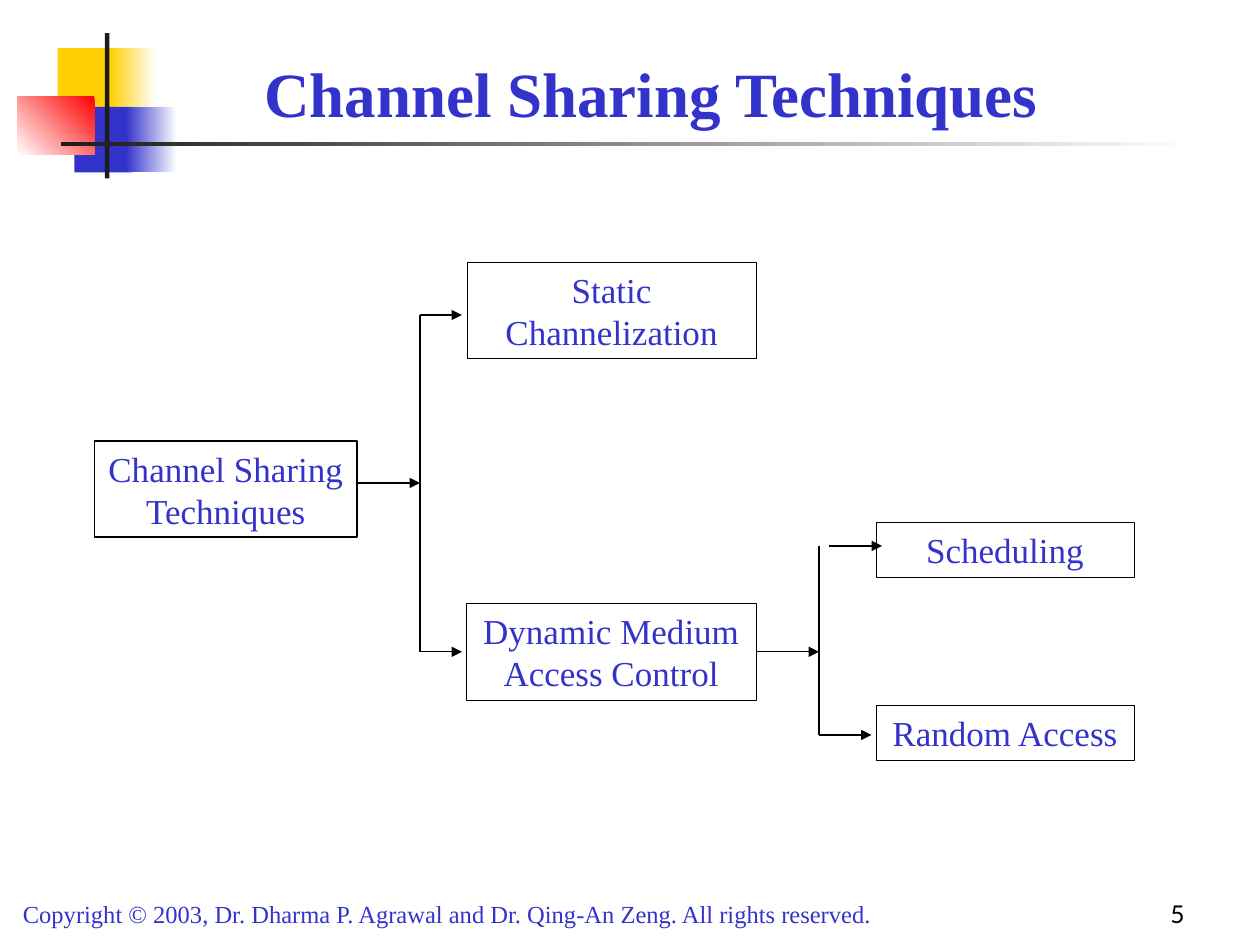
import dataclasses

import pptx
import pptx.dml.color
import pptx.enum.shapes
import pptx.enum.text
import pptx.oxml
import pptx.oxml.ns
import pptx.util

Pt = pptx.util.Pt
ANCHOR = pptx.enum.text.MSO_ANCHOR
ALIGN = pptx.enum.text.PP_ALIGN
RECT = pptx.enum.shapes.MSO_SHAPE.RECTANGLE
STRAIGHT = pptx.enum.shapes.MSO_CONNECTOR.STRAIGHT


@dataclasses.dataclass(frozen=True)
class Theme:
    """Colours, fonts and type sizes of the slide."""
    blue: str = "3333CC"
    yellow: str = "FFCF01"
    red: str = "FF0000"
    dark: str = "1C1C1C"
    black: str = "000000"
    white: str = "FFFFFF"
    serif: str = "Times New Roman"
    sans: str = "Lato"
    title: int = 36
    body: int = 20
    small: int = 14


T = Theme()


def rgb(color):
    """Return a colour object for a hex string."""
    return pptx.dml.color.RGBColor.from_string(color)


def write(sp, text, size, color=T.blue, font=T.serif, bold=False,
          align=ALIGN.LEFT, anchor=ANCHOR.TOP):
    """Put one formatted paragraph into a shape."""
    tf = sp.text_frame
    tf.word_wrap = True
    tf.vertical_anchor = anchor
    tf.text = text
    p = tf.paragraphs[0]
    p.alignment = align
    r = p.runs[0]
    r.font.size = Pt(size)
    r.font.name = font
    r.font.bold = bold
    r.font.color.rgb = rgb(color)


def add_text(s, box, text, size, **style):
    """Add a text box."""
    write(s.shapes.add_textbox(*map(Pt, box)), text, size, **style)


def add_rect(s, box):
    """Add a rectangle without shadow."""
    sp = s.shapes.add_shape(RECT, *map(Pt, box))
    sp.shadow.inherit = False
    return sp


def add_block(s, box, start, end=None, angle=180):
    """Add a borderless block in a plain colour or a two-colour gradient."""
    sp = add_rect(s, box)
    sp.line.fill.background()
    if end is None:
        sp.fill.solid()
        sp.fill.fore_color.rgb = rgb(start)
        return
    sp.fill.gradient()
    sp.fill.gradient_angle = angle
    for i, (stop, color) in enumerate(zip(sp.fill.gradient_stops, (start, end))):
        stop.position = i
        stop.color.rgb = rgb(color)


def add_node(s, box, text, width=0.25):
    """Add an outlined box with a centred label."""
    sp = add_rect(s, box)
    sp.fill.background()
    sp.line.color.rgb = rgb(T.black)
    sp.line.width = Pt(width)
    write(sp, text, T.body, align=ALIGN.CENTER)
    return sp


def add_line(s, x1, y1, x2, y2, arrow=True):
    """Add a thin straight connector, with an arrowhead unless told otherwise."""
    cx = s.shapes.add_connector(STRAIGHT, *map(Pt, (x1, y1, x2, y2)))
    cx.line.color.rgb = rgb(T.black)
    cx.line.width = Pt(0.75)
    if arrow:
        ln = cx.line._get_or_add_ln()
        ln.append(pptx.oxml.parse_xml(
            f'<a:tailEnd {pptx.oxml.ns.nsdecls("a")} type="triangle"/>'))
    cx._element.spPr.append(pptx.oxml.parse_xml(
        f'<a:effectLst {pptx.oxml.ns.nsdecls("a")}/>'))
    return cx


def add_decoration(s):
    """Draw the coloured squares and the two bars beside the title."""
    add_block(s, (33, 27.5, 34.5, 37.5), T.yellow)
    add_block(s, (63, 27.5, 26, 37.5), T.white, T.yellow)
    add_block(s, (42.5, 61, 33, 37.5), T.blue)
    add_block(s, (72, 61, 29, 37.5), T.white, T.blue)
    add_block(s, (10, 55, 44, 33.5), T.red, T.white, angle=225)
    add_block(s, (60, 19, 2.5, 83), T.dark)
    add_block(s, (35, 81, 648, 2.5), T.white, T.dark)


def add_tree(s):
    """Draw the tree of techniques with its branching arrows."""
    add_node(s, (54, 252, 150, 55), "Channel Sharing Techniques", 0.75)
    add_node(s, (267, 150, 165, 55), "Static Channelization")
    dynamic = add_node(s, (266.5, 345, 165.5, 55), "Dynamic Medium Access Control")
    for top, text in ((298.5, "Scheduling"), (403, "Random Access")):
        add_node(s, (500.5, top, 147.5, 31.5), text)

    add_line(s, 204, 276, 240, 276)
    add_line(s, 240, 180, 240, 372.5, arrow=False)
    for y in (180, 372.5):
        add_line(s, 240, y, 264, y)

    add_line(s, 474, 312, 504, 312)
    add_line(s, 468, 420, 498, 420)
    add_line(s, 468, 312, 468, 420, arrow=False)
    add_line(s, 432, 372.5, 468, 372.5).begin_connect(dynamic, 3)


def main():
    """Build the slide and save it."""
    prs = pptx.Presentation()
    prs.slide_width, prs.slide_height = Pt(720), Pt(540)
    s = prs.slides.add_slide(prs.slide_layouts[6])
    add_decoration(s)
    add_text(s, (6, 510, 546, 24.5),
             "Copyright © 2003, Dr. Dharma P. Agrawal and Dr. Qing-An Zeng. "
             "All rights reserved.", T.small)
    add_text(s, (66, 12, 612, 66), "Channel Sharing Techniques", T.title,
             bold=True, align=ALIGN.CENTER, anchor=ANCHOR.BOTTOM)
    add_tree(s)
    add_text(s, (534, 498, 150, 36), "5", T.small, color=T.black, font=T.sans,
             align=ALIGN.RIGHT, anchor=ANCHOR.BOTTOM)
    prs.save("out.pptx")


if __name__ == "__main__":
    main()
